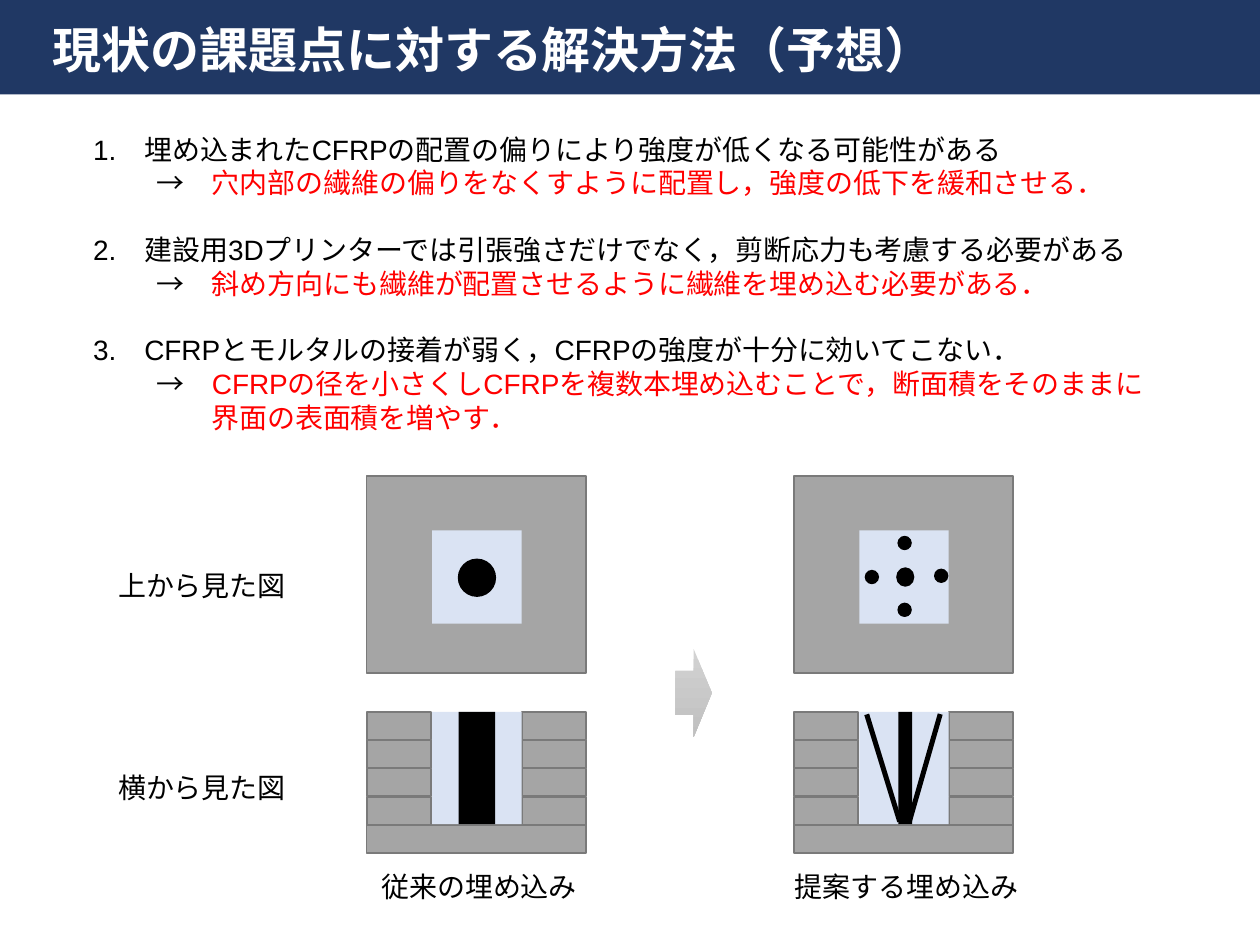
from pptx import Presentation
from pptx.dml.color import RGBColor
from pptx.enum.shapes import MSO_SHAPE
from pptx.enum.text import MSO_ANCHOR
from pptx.util import Inches, Pt

NAVY = RGBColor(0x20, 0x38, 0x64)
WHITE = RGBColor(0xFF, 0xFF, 0xFF)
BLACK = RGBColor(0, 0, 0)
RED = RGBColor(0xFF, 0, 0)
MORTAR = RGBColor(0xA5, 0xA5, 0xA5)
EDGE = RGBColor(0x7A, 0x7A, 0x7A)
HOLE = RGBColor(0xDA, 0xE3, 0xF3)
ARROW_TOP = RGBColor(0xD2, 0xD2, 0xD2)
ARROW_BOTTOM = RGBColor(0xC0, 0xC0, 0xC0)

FONT = "Arial"
BLOCK_W, HOLE_X, HOLE_W = 1.74, 0.52, 0.71
TOP_Y, SIDE_Y = 3.78, 5.65
LAYER_H, LAYER_PITCH, LAYERS = 0.22, 0.225, 5
FIBRE_H = 0.89

ISSUES = [
    ("1.　埋め込まれたCFRPの配置の偏りにより強度が低くなる可能性がある",
     "穴内部の繊維の偏りをなくすように配置し，強度の低下を緩和させる．", None),
    ("2.　建設用3Dプリンターでは引張強さだけでなく，剪断応力も考慮する必要がある",
     "斜め方向にも繊維が配置させるように繊維を埋め込む必要がある．", None),
    ("3.　CFRPとモルタルの接着が弱く，CFRPの強度が十分に効いてこない．",
     "CFRPの径を小さくしCFRPを複数本埋め込むことで，断面積をそのままに",
     "界面の表面積を増やす．"),
]
LABELS = [
    ("従来の埋め込み", 2.93, 6.85),
    ("提案する埋め込み", 6.21, 6.85),
    ("上から見た図", 0.84, 4.46),
    ("横から見た図", 0.84, 6.07),
]
# (x, y, width, height) of each fibre, measured from the block corner
THICK_DOT = [(0.73, 0.66, 0.29, 0.29)]
THIN_DOTS = [(0.82, 0.73, 0.13, 0.14), (0.83, 0.48, 0.1, 0.1),
             (1.12, 0.74, 0.1, 0.1), (0.57, 0.75, 0.1, 0.1),
             (0.83, 1.01, 0.1, 0.1)]
# (x, width, rotation) of each fibre
THICK_BAR = [(0.73, 0.29, 0)]
THIN_BARS = [(0.83, 0.11, 0), (1.02, 0.04, 16), (0.69, 0.04, -17.1)]


def add_shape(shapes, kind, x, y, w, h, fill, line=None):
    """Add a flat filled shape with an optional thin outline."""
    sp = shapes.add_shape(kind, Inches(x), Inches(y), Inches(w), Inches(h))
    sp.shadow.inherit = False
    sp.fill.solid()
    sp.fill.fore_color.rgb = fill
    if line is None:
        sp.line.fill.background()
    else:
        sp.line.color.rgb = line
        sp.line.width = Pt(1)
    return sp


def add_run(p, text, color=BLACK, size=16, bold=False):
    """Append a formatted run to a paragraph."""
    r = p.add_run()
    r.text = text
    r.font.name = FONT
    r.font.size = Pt(size)
    r.font.bold = bold
    r.font.color.rgb = color


def add_box(s, x, y, w, h):
    """Add a wrapping text box and return its text frame."""
    tf = s.shapes.add_textbox(Inches(x), Inches(y), Inches(w), Inches(h)).text_frame
    tf.word_wrap = True
    return tf


def add_title(s, text):
    """Add the title band and its text."""
    add_shape(s.shapes, MSO_SHAPE.RECTANGLE, 0, 0, 10, 0.75, NAVY)
    tf = add_box(s, 0.32, 0.09, 8.84, 0.66)
    tf.vertical_anchor = MSO_ANCHOR.MIDDLE
    p = tf.paragraphs[0]
    p.line_spacing = 0.9
    add_run(p, text, WHITE, 28, True)


def add_indented(tf, indent):
    """Add a paragraph with a left indent in inches."""
    p = tf.add_paragraph()
    p._p.get_or_add_pPr().set("marL", str(Inches(indent)))
    return p


def add_issues(s):
    """Add the numbered issues, each followed by its red solution."""
    tf = add_box(s, 0.64, 1, 8.91, 2.52)
    for i, (issue, solution, rest) in enumerate(ISSUES):
        p = tf.add_paragraph() if i else tf.paragraphs[0]
        if i:
            p.space_before = Pt(19)
        add_run(p, issue)
        p = add_indented(tf, 0.5)
        add_run(p, "→　")
        add_run(p, solution, RED)
        if rest:
            add_run(add_indented(tf, 0.94), rest, RED)


def add_top_view(s, x, dots):
    """Draw a block seen from above with its fibre sections."""
    shapes = s.shapes.add_group_shape().shapes
    add_shape(shapes, MSO_SHAPE.RECTANGLE, x, TOP_Y, BLOCK_W, 1.56, MORTAR, EDGE)
    add_shape(shapes, MSO_SHAPE.RECTANGLE, x + HOLE_X, TOP_Y + 0.43, HOLE_W, 0.74, HOLE)
    for dx, dy, w, h in dots:
        add_shape(shapes, MSO_SHAPE.OVAL, x + dx, TOP_Y + dy, w, h, BLACK, BLACK)


def add_side_view(s, x, bars):
    """Draw a layered block seen from the side with its fibres."""
    shapes = s.shapes.add_group_shape().shapes
    side_w = 0.51
    for i in range(LAYERS):
        y = SIDE_Y + i * LAYER_PITCH
        if i == LAYERS - 1:
            parts = [(0, BLOCK_W)]
        else:
            parts = [(0, side_w), (BLOCK_W - side_w, side_w)]
        for dx, w in parts:
            add_shape(shapes, MSO_SHAPE.RECTANGLE, x + dx, y, w, LAYER_H, MORTAR, EDGE)
    add_shape(shapes, MSO_SHAPE.RECTANGLE, x + HOLE_X, SIDE_Y, HOLE_W, FIBRE_H, HOLE)
    for dx, w, angle in bars:
        sp = add_shape(shapes, MSO_SHAPE.RECTANGLE, x + dx, SIDE_Y, w, FIBRE_H, BLACK)
        sp.rotation = angle


def add_arrow(s):
    """Add the shaded arrow between the two methods."""
    sp = add_shape(s.shapes, MSO_SHAPE.RIGHT_ARROW, 5.36, 5.15, 0.29, 0.7, ARROW_TOP)
    sp.fill.gradient()
    sp.fill.gradient_angle = 270
    for stop, color in zip(sp.fill.gradient_stops, (ARROW_TOP, ARROW_BOTTOM)):
        stop.color.rgb = color


def main():
    """Build the slide and save it."""
    prs = Presentation()
    prs.slide_width, prs.slide_height = Inches(10), Inches(7.5)
    s = prs.slides.add_slide(prs.slide_layouts[6])
    add_title(s, "現状の課題点に対する解決方法（予想）")
    add_issues(s)
    for x, dots, bars in [(2.91, THICK_DOT, THICK_BAR), (6.3, THIN_DOTS, THIN_BARS)]:
        add_side_view(s, x, bars)
        add_top_view(s, x, dots)
    for text, x, y in LABELS:
        add_run(add_box(s, x, y, 2.06, 0.37).paragraphs[0], text)
    add_arrow(s)
    prs.save("out.pptx")


if __name__ == "__main__":
    main()
